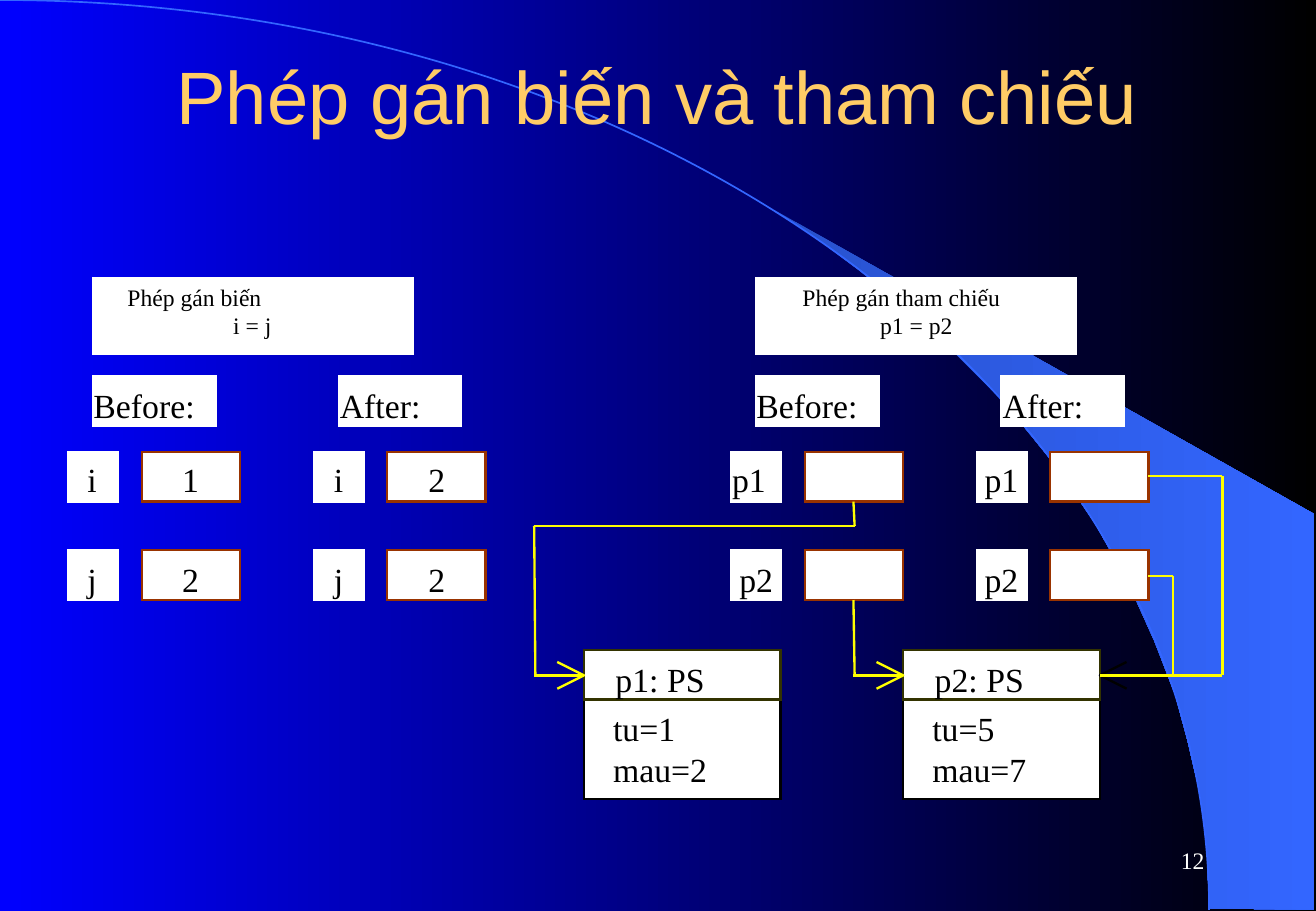
from pptx import Presentation
from pptx.dml.color import RGBColor
from pptx.enum.shapes import MSO_CONNECTOR, MSO_SHAPE
from pptx.enum.text import MSO_ANCHOR, MSO_AUTO_SIZE, PP_ALIGN
from pptx.oxml.ns import qn
from pptx.util import Inches, Pt
from lxml.etree import SubElement

WIDTH, HEIGHT = 10.84, 7.5
TITLE, PAGE = "Phép gán biến và tham chiếu", "12"
SERIF, SANS = "Times New Roman", "Arial"
COLORS = dict(blue="0000FF", black="000000", white="FFFFFF", gold="FFCC66", brown="993300",
              olive="333300", yellow="FFFF00", arc="3366FF", shade="2851CC")

PANELS = [
    {"left": 0.56, "caption": [("Phép gán biến", 0.28, 1.11), ("i = j", 1.15, 0.32)],
     "states": [("Before:", 0.84, [("i", 0.16, "1"), ("j", 0.16, "2")]),
                ("After:", 0.67, [("i", 0.16, "2"), ("j", 0.16, "2")])]},
    {"left": 6.02, "caption": [("Phép gán tham chiếu", 0.38, 1.63), ("p1 = p2", 1.02, 0.6)],
     "states": [("Before:", 0.84, [("p1", 0.01, ""), ("p2", 0.07, "")]),
                ("After:", 0.67, [("p1", 0.06, ""), ("p2", 0.06, "")])]},
]
OBJECTS = [(4.81, "p1: PS", ["tu=1", "mau=2"]), (7.44, "p2: PS", ["tu=5", "mau=7"])]

NAME_STEP, CELL_STEP, ROW_STEP, ROW_TOP = 2.03, 2.02, 0.81, 3.72
BOX, CELL, CELL_OFFSET, HEAD_OFFSET = 0.41, 0.81, 0.61, 0.21
TEXT_DROP, TEXT_HEIGHT, CAPTION_HEIGHT = 0.07, 0.33, 0.23
OBJECT_TOP, OBJECT_WIDTH, OBJECT_HEIGHT = 5.35, 1.62, 1.23
TARGET = 5.56
LINE_WIDTH = 1.39

REFERENCES = [
    [(7.03, 4.13), (7.04, 4.33), (4.4, 4.33), (4.41, TARGET)],
    [(7.03, 4.94), (7.04, TARGET)],
    [(9.46, 3.92), (10.07, 3.92), (10.07, TARGET), (9.06, TARGET)],
    [(9.46, 4.74), (9.66, 4.74), (9.66, TARGET)],
]
ARROWS = [(4.4, 4.81, -0.22, "yellow"), (7.03, 7.44, -0.22, "yellow"), (9.06, 9.06, 0.22, "black")]
ARC = [(0, 0), (5.5, 0), (9.96, 3.35), (9.96, 7.49)]
CRESCENT = [(9.96, 7.48), (10.82, 7.49), (10.82, 4.23), (6.38, 1.73), (6.76, 1.99),
            (7.07, 2.22), (7.42, 2.5), (7.76, 2.8), (8.26, 3.3), (8.7, 3.84), (9.02, 4.31),
            (9.29, 4.79), (9.51, 5.28), (9.68, 5.72), (9.78, 6.09), (9.89, 6.56), (9.94, 6.96)]

deck = Presentation()
deck.slide_width, deck.slide_height = Inches(WIDTH), Inches(HEIGHT)
slide = deck.slides.add_slide(deck.slide_layouts[6])


def rgb(name):
    return RGBColor.from_string(COLORS[name])


def gradient(fill, first, last):
    fill.gradient()
    fill.gradient_angle = 0
    for stop, name, place in zip(fill.gradient_stops, (first, last), (0, 1)):
        stop.color.rgb, stop.position = rgb(name), place


def text(left, top, width, height, lines, size=20, font=SERIF, color="black",
         align=PP_ALIGN.LEFT):
    holder = slide.shapes.add_textbox(*map(Inches, (left, top, width, height)))
    frame = holder.text_frame
    for number, line in enumerate(lines):
        paragraph = frame.add_paragraph() if number else frame.paragraphs[0]
        paragraph.text, paragraph.alignment = line, align
        paragraph.font.size, paragraph.font.name = Pt(size), font
        paragraph.font.color.rgb = rgb(color)
    return frame


def label(*place, **style):
    frame = text(*place, **style)
    frame.margin_left = frame.margin_top = frame.margin_right = frame.margin_bottom = 0
    frame.word_wrap, frame.auto_size = False, MSO_AUTO_SIZE.SHAPE_TO_FIT_TEXT


def heading(*place, **style):
    frame = text(*place, **style)
    frame.word_wrap, frame.vertical_anchor = True, MSO_ANCHOR.MIDDLE


def box(left, top, width, height, edge="white"):
    shape = slide.shapes.add_shape(MSO_SHAPE.RECTANGLE, *map(Inches, (left, top, width, height)))
    shape.shadow.inherit = False
    shape.fill.solid()
    shape.fill.fore_color.rgb = rgb("white")
    shape.line.color.rgb, shape.line.width = rgb(edge), Pt(LINE_WIDTH)
    SubElement(shape._element.spPr.find(qn("a:ln")), qn("a:miter"), lim="800000")


def outline(points, close=False):
    corners = [(Inches(x), Inches(y)) for x, y in points]
    builder = slide.shapes.build_freeform(*corners[0])
    builder.add_line_segments(corners[1:], close=close)
    shape = builder.convert_to_shape()
    shape.shadow.inherit = False
    return shape


def stroke(shape, color, width=LINE_WIDTH):
    shape.fill.background()
    shape.line.color.rgb, shape.line.width = rgb(color), Pt(width)


def curve(points):
    shape = outline(points)
    contour = next(shape._element.iter(qn("a:moveTo"))).getparent()
    sides = contour.findall(qn("a:lnTo"))
    bezier = SubElement(contour, qn("a:cubicBezTo"))
    for side in sides:
        bezier.append(side[0])
        contour.remove(side)
    return shape


def segment(start, end, color="yellow"):
    connector = slide.shapes.add_connector(MSO_CONNECTOR.STRAIGHT, *map(Inches, start + end))
    connector.line.color.rgb, connector.line.width = rgb(color), Pt(LINE_WIDTH)
    SubElement(connector._element.spPr, qn("a:effectLst"))


gradient(slide.background.fill, "blue", "black")
crescent = outline(CRESCENT, close=True)
gradient(crescent.fill, "shade", "arc")
crescent.line.fill.background()
stroke(curve(ARC), "arc", 0.99)

heading(7.76, 6.83, 2.26, 0.5, [PAGE], size=14, color="white", align=PP_ALIGN.RIGHT)
heading(0.81, 0, 9.21, 1.56, [TITLE], size=44, font=SANS, color="gold", align=PP_ALIGN.CENTER)

for panel in PANELS:
    head_left = panel["left"] + HEAD_OFFSET
    box(head_left, 2.29, 2.63, 0.62)
    for row, (line, indent, width) in enumerate(panel["caption"]):
        label(head_left + indent, 2.33 + row * CAPTION_HEIGHT, width, CAPTION_HEIGHT,
              [line], size=14)
    for column, (state, state_width, variables) in enumerate(panel["states"]):
        left = panel["left"] + column * NAME_STEP
        state_left = head_left + column * CELL_STEP
        cell_left = panel["left"] + CELL_OFFSET + column * CELL_STEP
        box(state_left, 3.1, 1.01, BOX)
        label(state_left + column * 0.01, 3.1 + TEXT_DROP, state_width, TEXT_HEIGHT, [state])
        for row, (name, indent, value) in enumerate(variables):
            top = ROW_TOP + row * ROW_STEP
            text_top = top + 0.06 + row * 0.01
            box(left, top, BOX, BOX)
            label(left + indent, text_top, 0.14 * len(name) if len(name) > 1 else 0.08,
                  TEXT_HEIGHT, [name])
            box(cell_left, top, CELL, BOX, "brown")
            if value:
                label(cell_left + 0.33 + column * 0.01, text_top, 0.14, TEXT_HEIGHT, [value])

for left, name, fields in OBJECTS:
    box(left, OBJECT_TOP, OBJECT_WIDTH, OBJECT_HEIGHT, "black")
    box(left, OBJECT_TOP, OBJECT_WIDTH, BOX, "olive")
    label(left + 0.26, OBJECT_TOP + TEXT_DROP, 0.74, TEXT_HEIGHT, [name])
    box(left + 0.2, 5.96, 1.22, BOX)
    label(left + 0.24, 5.83, 0.78, 2 * TEXT_HEIGHT, fields)

for start, tip, reach, color in ARROWS:
    segment((start, TARGET), (tip, TARGET), color)
    stroke(outline([(tip + reach, TARGET + 0.11), (tip, TARGET), (tip + reach, TARGET - 0.11)]),
           color)

for route in REFERENCES:
    for start, end in zip(route, route[1:]):
        segment(start, end)

deck.save("out.pptx")
